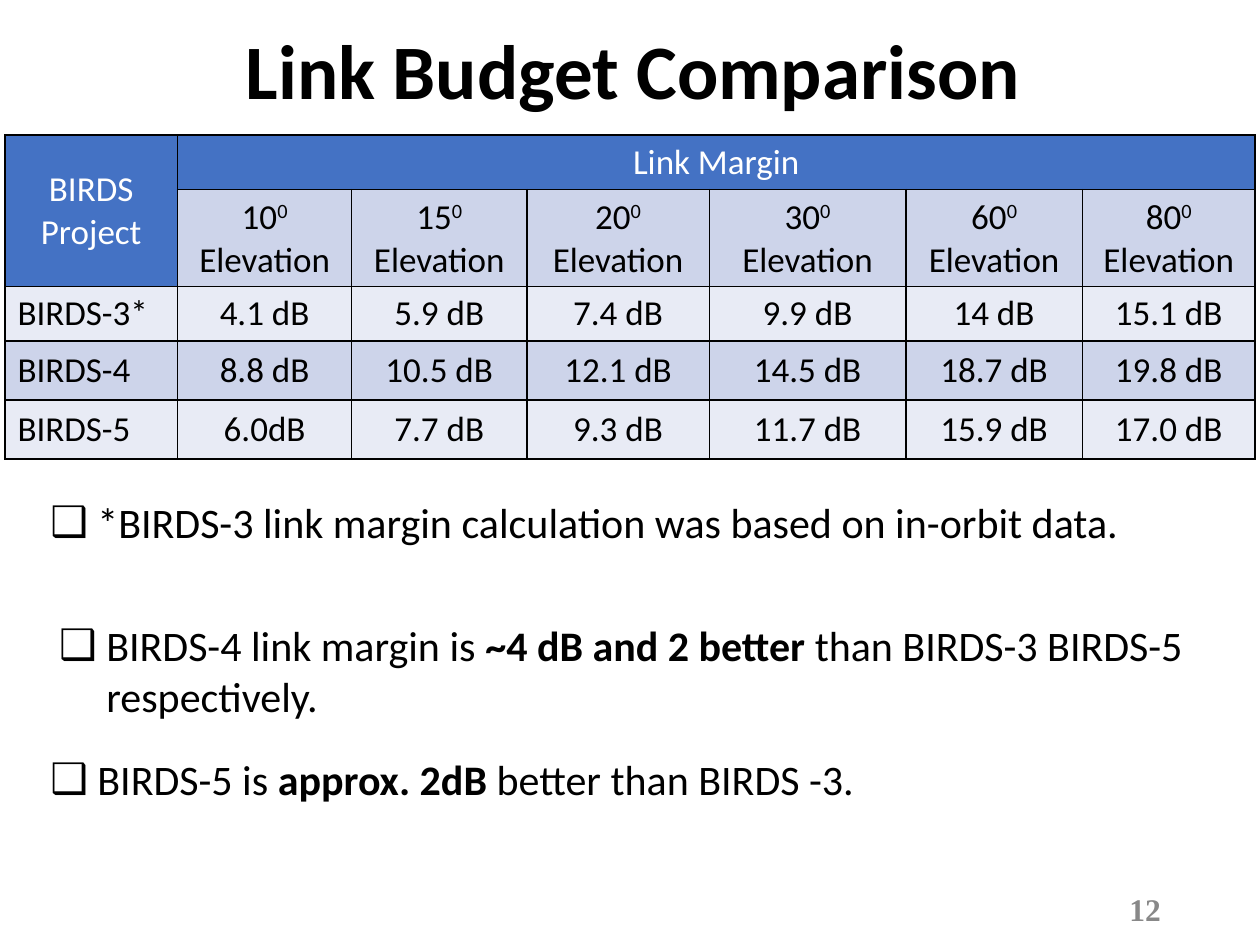
"""Build the slide that compares the BIRDS link budgets."""
from lxml.etree import SubElement
from pptx import Presentation
from pptx.dml.color import RGBColor
from pptx.enum.text import MSO_ANCHOR as Anchor, MSO_AUTO_SIZE as AutoSize, PP_ALIGN as Align
from pptx.oxml.ns import qn
from pptx.util import Cm, Pt

BLACK = RGBColor(0x00, 0x00, 0x00)
WHITE = RGBColor(0xFF, 0xFF, 0xFF)
GREY = RGBColor(0x88, 0x88, 0x88)
BLUE = RGBColor(0x44, 0x72, 0xC4)
MID_BLUE = RGBColor(0xCD, 0xD4, 0xEA)
PALE_BLUE = RGBColor(0xE8, 0xEB, 0xF5)


def add_span(para, text, size, color=BLACK, bold=None, name="Calibri"):
    span = para.add_run()
    span.text = text
    span.font.size = Pt(size)
    span.font.name = name
    span.font.bold = bold
    span.font.color.rgb = color
    return span


def place(box, left, top, width, height):
    box.left, box.top, box.width, box.height = Cm(left), Cm(top), Cm(width), Cm(height)


deck = Presentation()
deck.slide_width, deck.slide_height = Cm(25.4), Cm(19.05)
page = deck.slides.add_slide(deck.slide_layouts.get_by_name("Comparison"))
title, *bodies, spare = page.placeholders
spare.element.getparent().remove(spare.element)

place(title, 4.7, 0.33, 16.56, 1.3)
title.text_frame.vertical_anchor = Anchor.TOP
title.text_frame.auto_size = AutoSize.NONE
para = title.text_frame.paragraphs[0]
para.alignment = Align.LEFT
add_span(para, "Link Budget Comparison", 44, bold=True)

angles = ["10", "15", "20", "30", "60", "80"]
margins = [
    ["BIRDS-3*", "4.1 dB", "5.9 dB", "7.4 dB", "9.9 dB", "14 dB", "15.1 dB"],
    ["BIRDS-4", "8.8 dB", "10.5 dB", "12.1 dB", "14.5 dB", "18.7 dB", "19.8 dB"],
    ["BIRDS-5", "6.0dB", "7.7 dB", "9.3 dB", "11.7 dB", "15.9 dB", "17.0 dB"],
]
widths = [3.48, 3.51, 3.53, 3.68, 3.96, 3.56, 3.48]
heights = [0.64, 1.42, 0.94, 1.19, 1.19]
table = page.shapes.add_table(
    len(heights), len(widths), Cm(0.1), Cm(2.72), Cm(sum(widths)), Cm(sum(heights))
).table
for column, width in zip(table.columns, widths):
    column.width = Cm(width)
for row, height in zip(table.rows, heights):
    row.height = Cm(height)

row_fills = [BLUE, MID_BLUE, PALE_BLUE, MID_BLUE, PALE_BLUE]
for row, row_fill in zip(table.rows, row_fills):
    for cell in row.cells:
        properties = cell._tc.get_or_add_tcPr()
        for side in ("a:lnL", "a:lnR", "a:lnT", "a:lnB"):
            border = SubElement(properties, qn(side), w=str(Pt(1)))
            border_fill = SubElement(border, qn("a:solidFill"))
            SubElement(border_fill, qn("a:srgbClr"), val=str(BLACK))
        cell.fill.solid()
        cell.fill.fore_color.rgb = row_fill
        cell.vertical_anchor = Anchor.MIDDLE
        cell.text_frame.paragraphs[0].alignment = Align.CENTER

table.cell(1, 0).fill.fore_color.rgb = BLUE
table.cell(0, 0).merge(table.cell(1, 0))
table.cell(0, 1).merge(table.cell(0, 6))
for column, heading in enumerate(["BIRDS Project", "Link Margin"]):
    add_span(table.cell(0, column).text_frame.paragraphs[0], heading, 20, WHITE)
for column, angle in enumerate(angles, start=1):
    para = table.cell(1, column).text_frame.paragraphs[0]
    add_span(para, angle, 20, bold=False)
    degree = add_span(para, "0", 20, bold=False)
    degree.font._element.set("baseline", "30000")
    add_span(para, " Elevation", 20, bold=False)
for row, values in enumerate(margins, start=2):
    for column, value in enumerate(values):
        para = table.cell(row, column).text_frame.paragraphs[0]
        if column == 0:
            para.alignment = Align.LEFT
        add_span(para, value, 20, bold=False)

findings = [
    ((0.76, 9.88, 23.67, 1.27),
     [("*BIRDS-3 link margin calculation was based on in-orbit data.", False)]),
    ((0.94, 12.37, 24.38, 2.31),
     [("BIRDS-4 link margin is ", False), ("~4 dB and 2 better", True),
      (" than BIRDS-3 BIRDS-5 respectively.", False)]),
    ((0.76, 15.06, 24.77, 3.33),
     [("BIRDS-5 is ", False), ("approx. 2dB ", True), ("better than BIRDS -3.", False)]),
]
for body, (position, spans) in zip(bodies, findings):
    place(body, *position)
    frame = body.text_frame
    frame.word_wrap = True
    frame.vertical_anchor = Anchor.TOP
    frame.auto_size = AutoSize.SHAPE_TO_FIT_TEXT
    para = frame.paragraphs[0]
    properties = para._p.get_or_add_pPr()
    properties.set("marL", str(Cm(0.95)))
    properties.set("indent", str(-Cm(0.95)))
    bullet_color = SubElement(properties, qn("a:buClr"))
    SubElement(bullet_color, qn("a:srgbClr"), val=str(BLACK))
    SubElement(properties, qn("a:buChar"), char="❑")
    para.space_before = Pt(0)
    for text, bold in spans:
        add_span(para, text, 24, bold=bold)

number = page.shapes.add_textbox(Cm(17.93), Cm(17.81), Cm(5.72), Cm(1.02))
number.text_frame.word_wrap = True
number.text_frame.vertical_anchor = Anchor.MIDDLE
para = number.text_frame.paragraphs[0]
para.alignment = Align.RIGHT
add_span(para, "12", 18, GREY, True, "Times New Roman")

deck.save("out.pptx")
